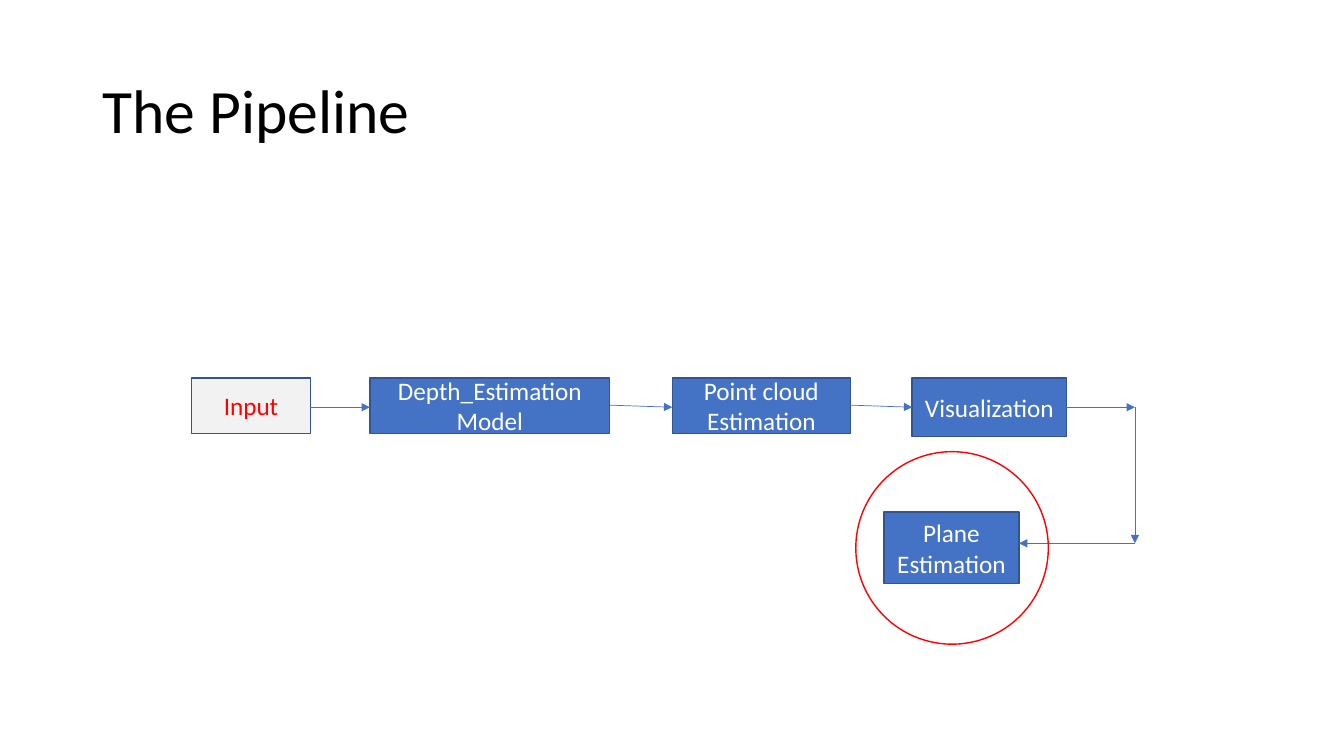
from dataclasses import dataclass

from lxml.etree import SubElement
from pptx import Presentation
from pptx.dml.color import RGBColor as Rgb
from pptx.enum.shapes import MSO_CONNECTOR as Link, MSO_SHAPE as Form
from pptx.enum.text import MSO_ANCHOR as Anchor, MSO_AUTO_SIZE as Fit, PP_ALIGN as Align
from pptx.oxml.ns import qn
from pptx.shapes.autoshape import Shape
from pptx.slide import Slide
from pptx.text.text import TextFrame as Frame
from pptx.util import Pt

HUES = {
    "black": "000000",
    "white": "FFFFFF",
    "blue": "4472C4",
    "navy": "325491",
    "gray": "F2F2F2",
    "red": "FF0000",
}
FRAME = {"word_wrap": True, "auto_size": Fit.NONE, "vertical_anchor": Anchor.MIDDLE}
TITLE = {"alignment": Align.LEFT, "line_spacing": 0.9}
LABEL = {"alignment": Align.CENTER}
ROW = 270
MID = 290.9
HIGH = 289.4
TURN = 810.7
LOW = 388.1


@dataclass
class Step:
    text: str
    left: float
    top: float
    width: float
    height: float
    fill: str = "blue"
    ink: str = "white"

    @property
    def right(self) -> float:
        return self.left + self.width


@dataclass
class Arrow:
    x1: float
    y1: float
    x2: float
    y2: float


INPUT = Step("Input", 136.8, ROW, 85, 39.6, "gray", "red")
DEPTH = Step("Depth_Estimation Model", 264.2, ROW, 171.4, 39.6)
CLOUD = Step("Point cloud Estimation", 480.2, ROW, 127.4, 39.6)
VIEW = Step("Visualization", 651.6, ROW, 110.2, 41.8)
PLANE = Step("Plane Estimation", 631.4, 365.8, 96.5, 51.1)
STEPS = [INPUT, DEPTH, CLOUD, VIEW, PLANE]
ARROWS = [
    Arrow(INPUT.right, MID, DEPTH.left, MID),
    Arrow(DEPTH.right, HIGH, CLOUD.left, MID),
    Arrow(CLOUD.right, HIGH, VIEW.left, MID),
    Arrow(VIEW.right, MID, TURN, MID),
    Arrow(TURN, MID, TURN, LOW),
    Arrow(TURN, LOW, PLANE.right, LOW),
]


def apply(item: object, style: dict) -> None:
    for name, value in style.items():
        setattr(item, name, value)


def color(name: str) -> Rgb:
    return Rgb.from_string(HUES[name])


def write(frame: Frame, text: str, size: float, ink: str, style: dict) -> None:
    apply(frame, FRAME)
    frame.text = text
    para = frame.paragraphs[0]
    apply(para, style)
    apply(para.font, {"name": "Calibri", "size": Pt(size)})
    para.font.color.rgb = color(ink)


def outline(shape: Shape, ink: str) -> None:
    shape.shadow.inherit = False
    shape.line.color.rgb = color(ink)
    shape.line.width = Pt(1)


def add_title(slide: Slide) -> None:
    title = slide.shapes.title
    apply(title, {"left": Pt(66), "top": Pt(28.8), "width": Pt(828), "height": Pt(104.4)})
    write(title.text_frame, "The Pipeline", 44, "black", TITLE)


def add_step(slide: Slide, step: Step) -> None:
    area = [Pt(v) for v in (step.left, step.top, step.width, step.height)]
    box = slide.shapes.add_shape(Form.RECTANGLE, *area)
    box.fill.solid()
    box.fill.fore_color.rgb = color(step.fill)
    outline(box, "navy")
    write(box.text_frame, step.text, 18, step.ink, LABEL)


def add_arrow(slide: Slide, arrow: Arrow) -> None:
    ends = [Pt(v) for v in (arrow.x1, arrow.y1, arrow.x2, arrow.y2)]
    link = slide.shapes.add_connector(Link.STRAIGHT, *ends)
    link.line.color.rgb = color("blue")
    link.line.width = Pt(0.5)
    SubElement(link.line._get_or_add_ln(), qn("a:tailEnd"), type="triangle")
    SubElement(link._element.spPr, qn("a:effectLst"))


def add_ring(slide: Slide) -> None:
    ring = slide.shapes.add_shape(Form.OVAL, Pt(611.3), Pt(322.6), Pt(137.5), Pt(137.5))
    ring.fill.background()
    outline(ring, "red")


def main() -> None:
    deck = Presentation()
    apply(deck, {"slide_width": Pt(960), "slide_height": Pt(540)})
    slide = deck.slides.add_slide(deck.slide_layouts[5])
    add_title(slide)
    for step in STEPS:
        add_step(slide, step)
    for arrow in ARROWS:
        add_arrow(slide, arrow)
    add_ring(slide)
    deck.save("out.pptx")


if __name__ == "__main__":
    main()
